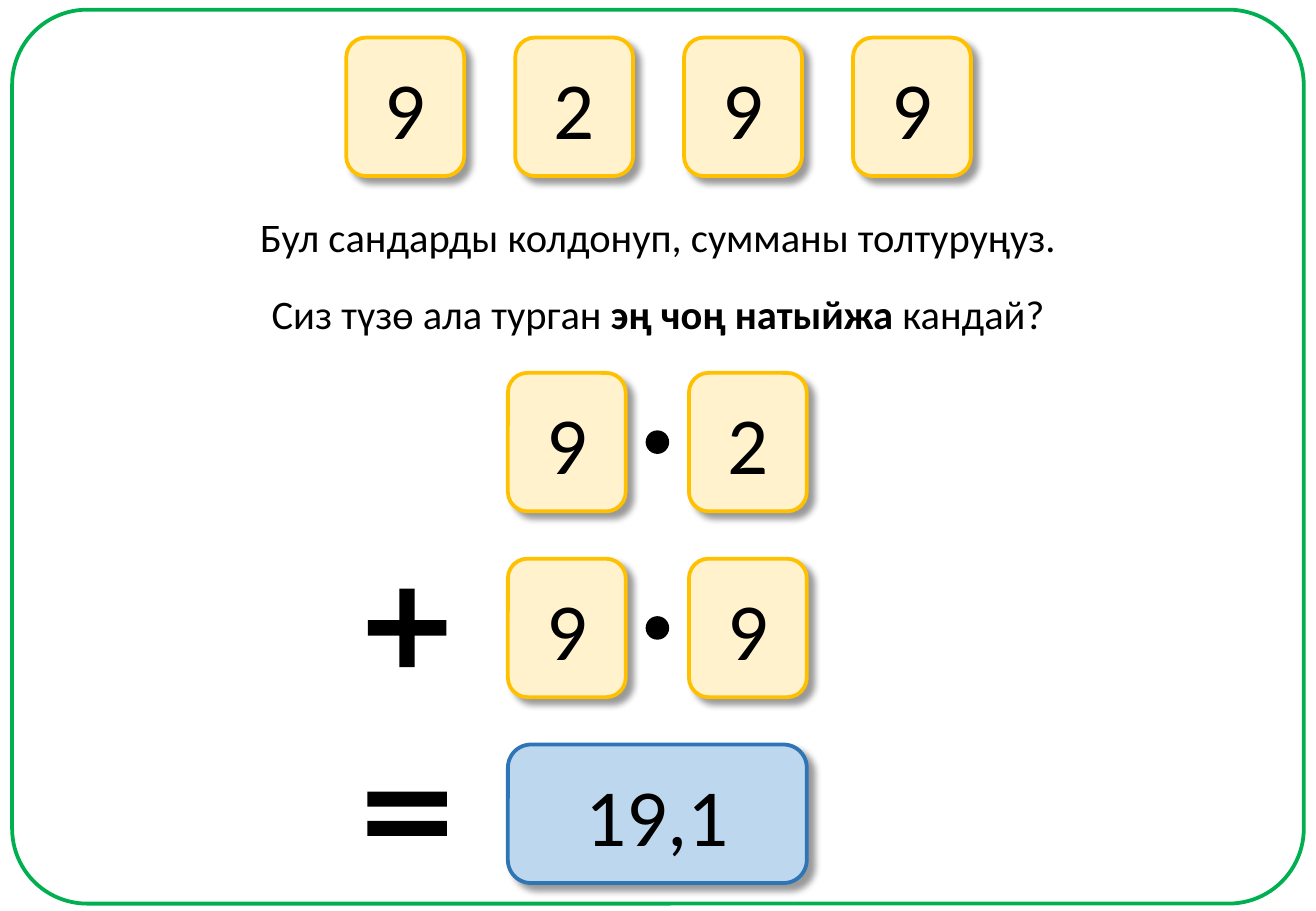
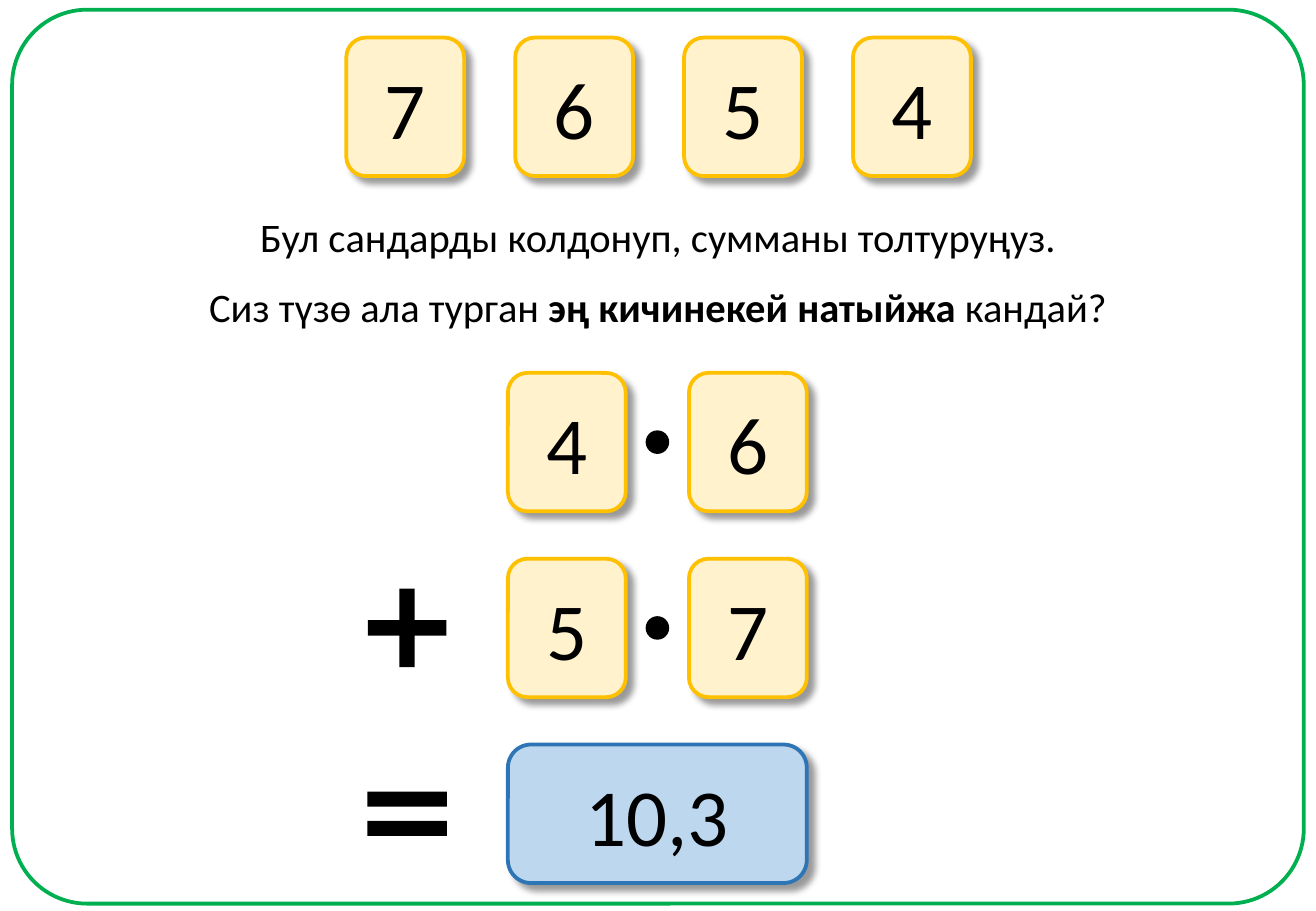
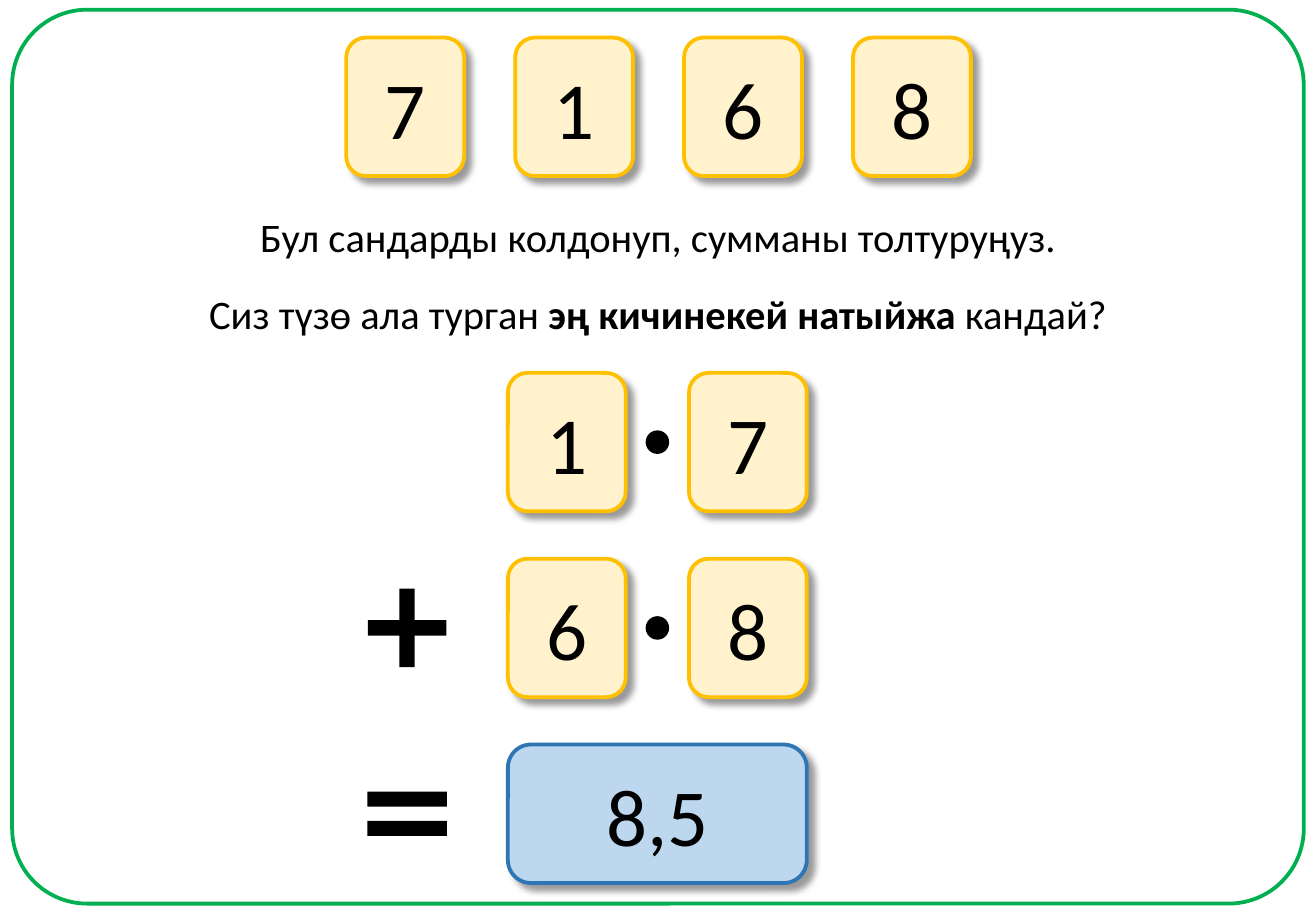
from lxml.etree import SubElement
from pptx import Presentation
from pptx.dml.color import RGBColor
from pptx.enum.shapes import MSO_SHAPE
from pptx.enum.text import MSO_ANCHOR, MSO_AUTO_SIZE, PP_ALIGN
from pptx.oxml.ns import qn
from pptx.util import Inches, Pt

BLACK = RGBColor(0x00, 0x00, 0x00)
GREEN = RGBColor(0x00, 0xB0, 0x50)
CREAM = RGBColor(0xFF, 0xF2, 0xCC)
GOLD = RGBColor(0xFF, 0xC0, 0x00)
PALE_BLUE = RGBColor(0xBD, 0xD7, 0xEE)
BLUE = RGBColor(0x2E, 0x75, 0xB6)

FONT = "Calibri"
SLIDE_WIDTH, SLIDE_HEIGHT = 10.83, 7.5
CARD_WIDTH, CARD_HEIGHT = 0.97, 1.14
DIGIT_PITCH = 1.39
SUM_WIDTH, ROW_PITCH = 2.46, 1.53
POINT_SIZE = 0.18
SIGN_CENTRE = -0.83

INSTRUCTION = [("Бул сандарды колдонуп, сумманы толтуруңуз.", False)]
QUESTION_START = "Сиз түзө ала турган "
QUESTION_END = "кандай?"

PUZZLES = [
    {"digits": "9299", "goal": "эң чоң натыйжа ", "question_top": 2.33,
     "question_width": 6.62, "addends": ["92", "99"], "answer": "19,1"},
    {"digits": "7654", "goal": "эң кичинекей натыйжа ", "question_top": 2.27,
     "question_width": 7.66, "addends": ["46", "57"], "answer": "10,3"},
    {"digits": "7168", "goal": "эң кичинекей натыйжа ", "question_top": 2.33,
     "question_width": 7.66, "addends": ["17", "68"], "answer": "8,5"},
]


def add_figure(shapes, kind, left, top, width, height, fill=None, line=None,
               line_width=2.25):
    """Add a preset shape without shadow, filled and outlined as asked."""
    figure = shapes.add_shape(kind, Inches(left), Inches(top),
                              Inches(width), Inches(height))
    figure.shadow.inherit = False
    if fill is None:
        figure.fill.background()
    else:
        figure.fill.solid()
        figure.fill.fore_color.rgb = fill
    if line is None:
        figure.line.fill.background()
    else:
        figure.line.color.rgb = line
        figure.line.width = Pt(line_width)
    return figure


def add_drop_shadow(figure):
    """Give a shape a soft black shadow to the lower right."""
    effects = figure._element.spPr.find(qn("a:effectLst"))
    shadow = SubElement(effects, qn("a:outerShdw"), blurRad=str(Pt(4)),
                        dist=str(Pt(5)), dir="2700000", algn="tl",
                        rotWithShape="0")
    colour = SubElement(shadow, qn("a:srgbClr"), val=str(BLACK))
    SubElement(colour, qn("a:alpha"), val="40000")


def write_line(frame, spans, size):
    """Write one centred paragraph from (text, bold) spans."""
    para = frame.paragraphs[0]
    para.alignment = PP_ALIGN.CENTER
    para.font.name = FONT
    para.font.size = Pt(size)
    para.font.color.rgb = BLACK
    for text, bold in spans:
        span = para.add_run()
        span.text = text
        if bold:
            span.font.bold = True


def add_card(shapes, text, left, top, width=CARD_WIDTH, fill=CREAM, line=GOLD):
    """Add a rounded card with a shadow and a large number."""
    card = add_figure(shapes, MSO_SHAPE.ROUNDED_RECTANGLE, left, top,
                      width, CARD_HEIGHT, fill, line)
    add_drop_shadow(card)
    frame = card.text_frame
    frame.margin_left = frame.margin_right = Inches(0.11)
    frame.vertical_anchor = MSO_ANCHOR.MIDDLE
    write_line(frame, [(text, False)], 48)


def add_frame(page):
    """Add the green rounded outline around the page."""
    outline = add_figure(page.shapes, MSO_SHAPE.ROUNDED_RECTANGLE,
                         0.1, 0.08, 10.63, 7.36, line=GREEN)
    outline.adjustments[0] = 0.084


def add_sentence(page, spans, top, width):
    """Add a line of text centred on the page."""
    box = page.shapes.add_textbox(Inches((SLIDE_WIDTH - width) / 2), Inches(top),
                                  Inches(width), Inches(0.5))
    box.text_frame.word_wrap = False
    box.text_frame.auto_size = MSO_AUTO_SIZE.SHAPE_TO_FIT_TEXT
    write_line(box.text_frame, spans, 24)


def add_digit_row(page, digits, left, top):
    """Add the group of cards with the given digits."""
    group = page.shapes.add_group_shape()
    for index, digit in enumerate(digits):
        add_card(group.shapes, digit, left + index * DIGIT_PITCH, top)


def add_decimal(page, digits, left, top):
    """Add two cards with a decimal point between them."""
    whole, tenth = digits
    add_card(page.shapes, whole, left, top)
    add_card(page.shapes, tenth, left + SUM_WIDTH - CARD_WIDTH, top)
    add_figure(page.shapes, MSO_SHAPE.OVAL, left + (SUM_WIDTH - POINT_SIZE) / 2,
               top + (CARD_HEIGHT - POINT_SIZE) / 2, POINT_SIZE, POINT_SIZE,
               BLACK, BLACK, 1)


def add_sign(page, kind, left, top, width, height, adjustments):
    """Add a black sign to the left of a row of the sum."""
    sign = add_figure(page.shapes, kind, left + SIGN_CENTRE - width / 2,
                      top + (CARD_HEIGHT - height) / 2, width, height, BLACK)
    for index, value in enumerate(adjustments):
        sign.adjustments[index] = value


def add_sum(page, addends, answer, left, top):
    """Add the column sum: two decimals, their signs and the answer."""
    for row, digits in enumerate(addends):
        add_decimal(page, digits, left, top + row * ROW_PITCH)
    answer_top = top + 2 * ROW_PITCH
    add_card(page.shapes, answer, left, answer_top, SUM_WIDTH, PALE_BLUE, BLUE)
    add_sign(page, MSO_SHAPE.MATH_PLUS, left, top + ROW_PITCH, 0.88, 0.88, [0.144])
    add_sign(page, MSO_SHAPE.MATH_EQUAL, left, answer_top, 0.89, 1, [0.123, 0.118])


def add_puzzle(deck, puzzle):
    """Add one puzzle slide."""
    page = deck.slides.add_slide(deck.slide_layouts[6])
    add_frame(page)
    add_sentence(page, INSTRUCTION, 1.7, 6.82)
    question = [(QUESTION_START, False), (puzzle["goal"], True), (QUESTION_END, False)]
    add_sentence(page, question, puzzle["question_top"], puzzle["question_width"])
    add_digit_row(page, puzzle["digits"], 2.85, 0.31)
    add_sum(page, puzzle["addends"], puzzle["answer"], 4.18, 3.07)


def main():
    """Build and save the deck."""
    deck = Presentation()
    deck.slide_width = Inches(SLIDE_WIDTH)
    deck.slide_height = Inches(SLIDE_HEIGHT)
    for puzzle in PUZZLES:
        add_puzzle(deck, puzzle)
    deck.save("out.pptx")


if __name__ == "__main__":
    main()
